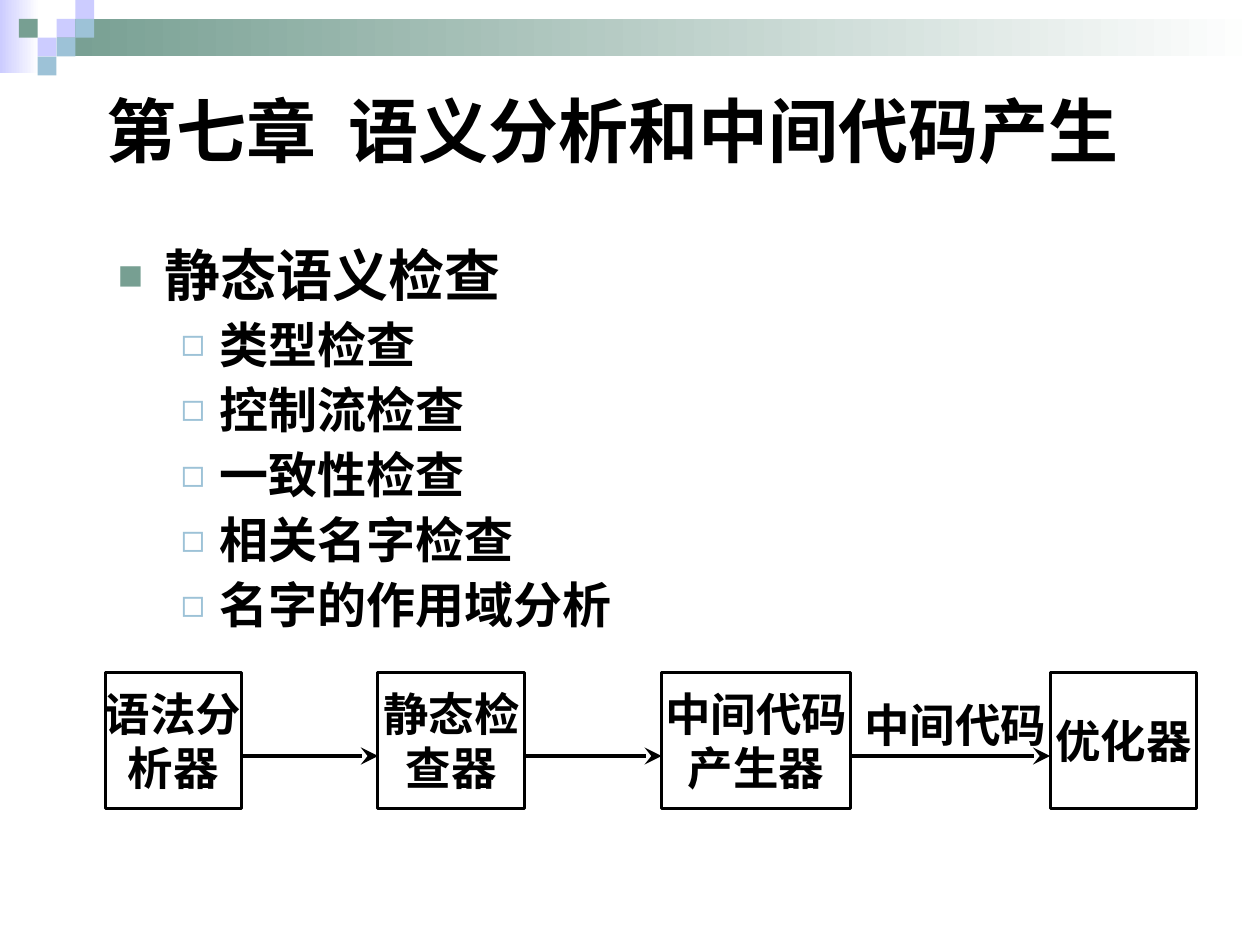
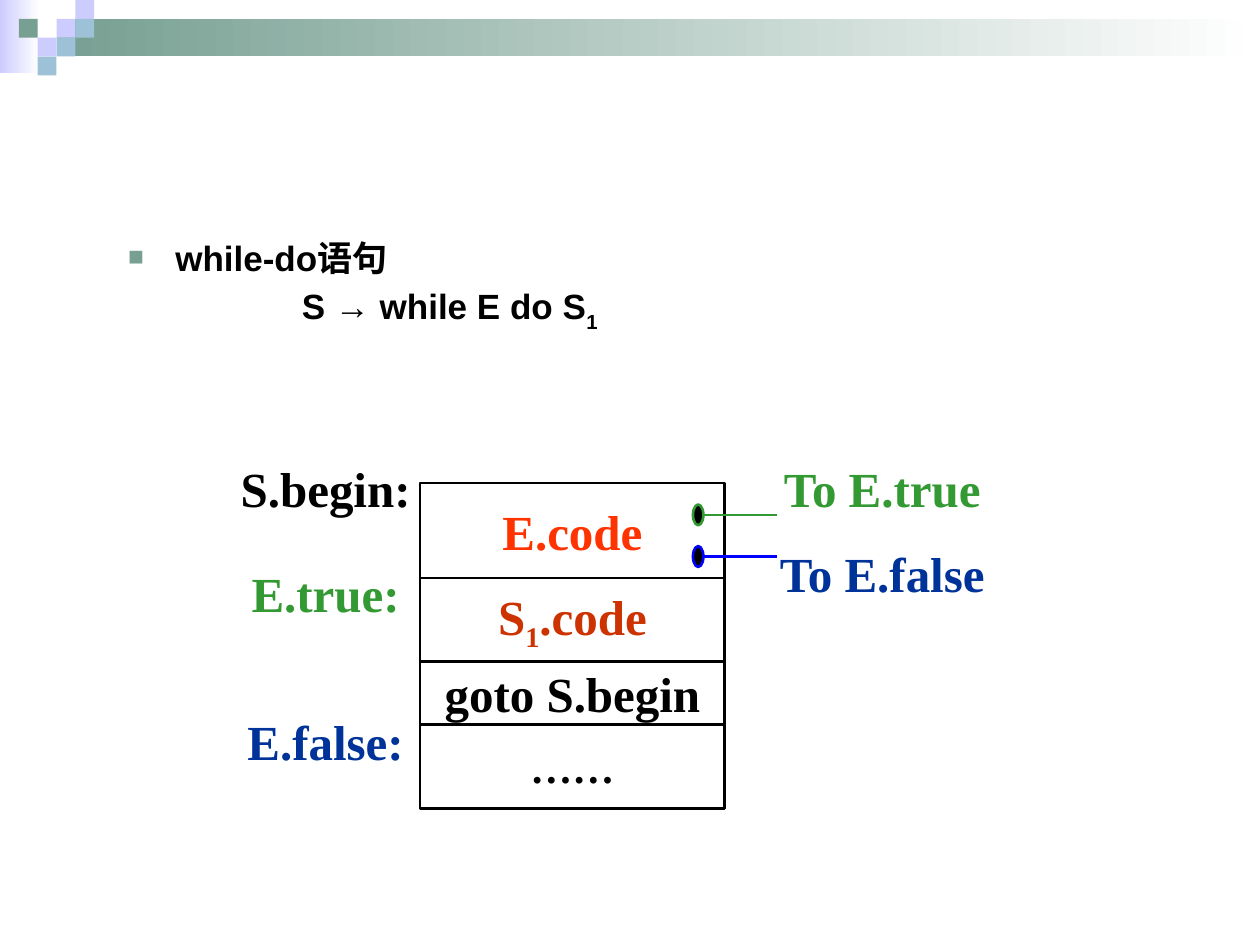
from lxml.etree import SubElement
from pptx import Presentation
from pptx.dml.color import RGBColor
from pptx.enum.shapes import MSO_CONNECTOR, MSO_SHAPE
from pptx.enum.text import MSO_ANCHOR, MSO_AUTO_SIZE, PP_ALIGN
from pptx.oxml.ns import qn
from pptx.util import Cm, Pt

COLORS = {
    "black": "000000",
    "white": "FFFFFF",
    "sage": "779F92",
    "lavender": "CCCCFF",
    "sky": "9DC2D7",
    "scarlet": "FF3300",
    "brick": "CC3300",
    "green": "339933",
    "navy": "003399",
    "blue": "0000FF",
}
HEADING_FONT = "Arial"
DIAGRAM_FONT = "Times New Roman"
CELL = 0.38


def rgb(name):
    return RGBColor.from_string(COLORS[name])


def write(paragraph, text, size=28, font=DIAGRAM_FONT, color="black", subscript=-25):
    for index, part in enumerate(text.split("_")):
        run = paragraph.add_run()
        run.text = part
        run.font.size = Pt(size)
        run.font.name = font
        run.font.bold = True
        run.font.color.rgb = rgb(color)
        if index % 2:
            run._r.get_or_add_rPr().set("baseline", str(subscript * 1000))


def set_indent(paragraph, margin, hanging=0):
    properties = paragraph._p.get_or_add_pPr()
    properties.set("marL", str(Cm(margin)))
    properties.set("indent", str(-Cm(hanging)))
    return properties


def set_bullet(properties, character, color, percent):
    bullet_color = SubElement(properties, qn("a:buClr"))
    SubElement(bullet_color, qn("a:srgbClr"), val=COLORS[color])
    SubElement(properties, qn("a:buSzPct"), val=str(percent * 1000))
    SubElement(properties, qn("a:buFont"), typeface=HEADING_FONT)
    SubElement(properties, qn("a:buChar"), char=character)


def place(shape, left, top, width, height):
    shape.left, shape.top = Cm(left), Cm(top)
    shape.width, shape.height = Cm(width), Cm(height)


def add_shape(slide, kind, left, top, width, height, fill=None, line=None, weight=1.5):
    shape = slide.shapes.add_shape(kind, Cm(left), Cm(top), Cm(width), Cm(height))
    shape.shadow.inherit = False
    if fill:
        shape.fill.solid()
        shape.fill.fore_color.rgb = rgb(fill)
    else:
        shape.fill.background()
    if line:
        shape.line.color.rgb = rgb(line)
        shape.line.width = Pt(weight)
    else:
        shape.line.fill.background()
    return shape


def add_line(slide, left, right, y, color="black", weight=1.5, arrow=False):
    connector = slide.shapes.add_connector(
        MSO_CONNECTOR.STRAIGHT, Cm(left), Cm(y), Cm(right), Cm(y)
    )
    connector.line.color.rgb = rgb(color)
    connector.line.width = Pt(weight)
    properties = connector.element.spPr
    if arrow:
        line = properties.find(qn("a:ln"))
        SubElement(line, qn("a:tailEnd"), type="stealth", w="lg", len="lg")
    SubElement(properties, qn("a:effectLst"))


def add_label(slide, left, top, width, height, text, line=None, weight=1.5, **text_format):
    shape = add_shape(
        slide, MSO_SHAPE.RECTANGLE, left, top, width, height, line=line, weight=weight
    )
    frame = shape.text_frame
    frame.word_wrap = False
    frame.vertical_anchor = MSO_ANCHOR.MIDDLE
    for index, text_line in enumerate(text.split("\n")):
        paragraph = frame.add_paragraph() if index else frame.paragraphs[0]
        paragraph.alignment = PP_ALIGN.CENTER
        write(paragraph, text_line, **text_format)


def add_gradient(slide, left, top, width, height, color):
    shape = add_shape(slide, MSO_SHAPE.RECTANGLE, left, top, width, height)
    shape.fill.gradient()
    shape.fill.gradient_angle = 0
    for stop, position, name in zip(shape.fill.gradient_stops, (0, 1), (color, "white")):
        stop.position = position
        stop.color.rgb = rgb(name)
    return shape


def build_master_band(presentation, slide):
    squares = [
        (3, 1, "lavender"),
        (4, 0, "lavender"),
        (4, 1, "sky"),
        (2, 2, "lavender"),
        (1, 1, "sage"),
        (3, 2, "sky"),
        (2, 3, "sky"),
    ]
    band = [
        add_gradient(slide, 0, 0, 0.79, 1.47, "lavender"),
        add_gradient(slide, 3 * CELL, CELL, 25.4 - 3 * CELL, 2 * CELL, "sage"),
    ]
    for column, row, color in squares:
        band.append(
            add_shape(
                slide, MSO_SHAPE.RECTANGLE, column * CELL, row * CELL, CELL, CELL, fill=color
            )
        )
    for number, shape in enumerate(band, start=100):
        shape.element.nvSpPr.cNvPr.set("id", str(number))
        presentation.slide_master.shapes.element.append(shape.element)


def build_title(slide, text, left, top, width, height, tab):
    title = slide.shapes.title
    place(title, left, top, width, height)
    title.text_frame.auto_size = MSO_AUTO_SIZE.NONE
    title.text_frame.vertical_anchor = MSO_ANCHOR.MIDDLE
    paragraph = title.text_frame.paragraphs[0]
    paragraph.alignment = PP_ALIGN.LEFT
    tabs = SubElement(paragraph._p.get_or_add_pPr(), qn("a:tabLst"))
    SubElement(tabs, qn("a:tab"), pos=str(Cm(tab)), algn="l")
    write(paragraph, text, size=40, font=HEADING_FONT)


def start_body(slide, left, top, width, height):
    body = slide.placeholders[1]
    place(body, left, top, width, height)
    body.text_frame.auto_size = MSO_AUTO_SIZE.NONE
    return body.text_frame


def write_heading(frame, text, size, line_spacing):
    paragraph = frame.paragraphs[0]
    paragraph.line_spacing = line_spacing
    paragraph.space_before = Pt(0)
    set_bullet(set_indent(paragraph, 0.95, 0.95), "■", "sage", 75)
    write(paragraph, text, size=size, font=HEADING_FONT)


def build_check_list(slide, left, top, width, height):
    frame = start_body(slide, left, top, width, height)
    write_heading(frame, "静态语义检查", 32, 0.9)
    checks = ["类型检查", "控制流检查", "一致性检查", "相关名字检查", "名字的作用域分析"]
    for check in checks:
        paragraph = frame.add_paragraph()
        paragraph.level = 1
        paragraph.line_spacing = 0.9
        paragraph.space_before = Pt(7)
        set_bullet(set_indent(paragraph, 2.06, 0.79), "◻", "sky", 80)
        write(paragraph, check, font=HEADING_FONT)


def build_compiler_stages(slide, left, top, height):
    stages = [
        (0, 2.75, "语法分\n析器"),
        (5.5, 2.96, "静态检\n查器"),
        (11.22, 3.81, "中间代码\n产生器"),
        (19.05, 2.96, "优化器"),
    ]
    for offset, width, text in stages:
        add_label(
            slide, left + offset, top, width, height, text, line="black", weight=1.75, size=26
        )
    for (offset, width, _), (following, _, _) in zip(stages, stages[1:]):
        add_line(
            slide, left + offset + width, left + following, top + 1.69, weight=1.75, arrow=True
        )
    add_label(slide, left + 15.45, top, 3.39, 2.12, "中间代码", size=26)


def build_statement(slide, left, top, width, height):
    frame = start_body(slide, left, top, width, height)
    write_heading(frame, "while-do语句", 20, 0.7)
    rule = frame.add_paragraph()
    rule.line_spacing = 0.7
    rule.space_before = Pt(8)
    SubElement(set_indent(rule, 3.5), qn("a:buNone"))
    write(rule, "S → while E do S_1", size=20, font=HEADING_FONT, subscript=-30)


def build_code_layout(slide, left, top, width):
    rows = [
        (1.91, "E.code", "scarlet", 28),
        (1.69, "S_1_.code", "brick", 28),
        (1.27, "goto S.begin", "black", 28),
        (1.69, "……", "black", 24),
    ]
    row_top = top
    for height, text, color, size in rows:
        add_label(
            slide, left, row_top, width, height, text, line="black", color=color, size=size
        )
        row_top += height

    entries = [
        (-0.64, "S.begin:", "black"),
        (1.48, "E.true:", "green"),
        (4.45, "E.false:", "navy"),
    ]
    for offset, text, color in entries:
        add_label(slide, left - 3.81, top + offset, 3.81, 1.48, text, color=color)

    exits = [
        (0.64, "green", -0.64, "To E.true", "green"),
        (1.48, "blue", 1.06, "To E.false", "navy"),
    ]
    for offset, line_color, label_offset, text, color in exits:
        y = top + offset
        add_line(slide, left + 5.72, left + 7.2, y, color=line_color)
        add_shape(
            slide, MSO_SHAPE.OVAL, left + 5.5, y - 0.21, 0.21, 0.42, fill="black", line=line_color
        )
        add_label(slide, left + 7.41, top + label_offset, 3.81, 1.48, text, color=color)


def build_chapter_slide(slide):
    build_title(slide, "第七章\t语义分析和中间代码产生", 1.9, 1.32, 21.41, 2.59, tab=4.88)
    build_check_list(slide, 2.12, 4.87, 21.8, 8.05)
    build_compiler_stages(slide, 2.12, 13.55, 2.75)


def build_while_slide(slide):
    title = slide.shapes.title.element
    title.getparent().remove(title)
    build_statement(slide, 2.33, 4.87, 21.8, 1.91)
    build_code_layout(slide, 8.47, 9.74, 6.14)


def main():
    presentation = Presentation()
    presentation.slide_width, presentation.slide_height = Cm(25.4), Cm(19.05)
    layout = presentation.slide_layouts[1]
    chapter_slide = presentation.slides.add_slide(layout)
    build_master_band(presentation, chapter_slide)
    build_chapter_slide(chapter_slide)
    build_while_slide(presentation.slides.add_slide(layout))
    presentation.save("out.pptx")


if __name__ == "__main__":
    main()
